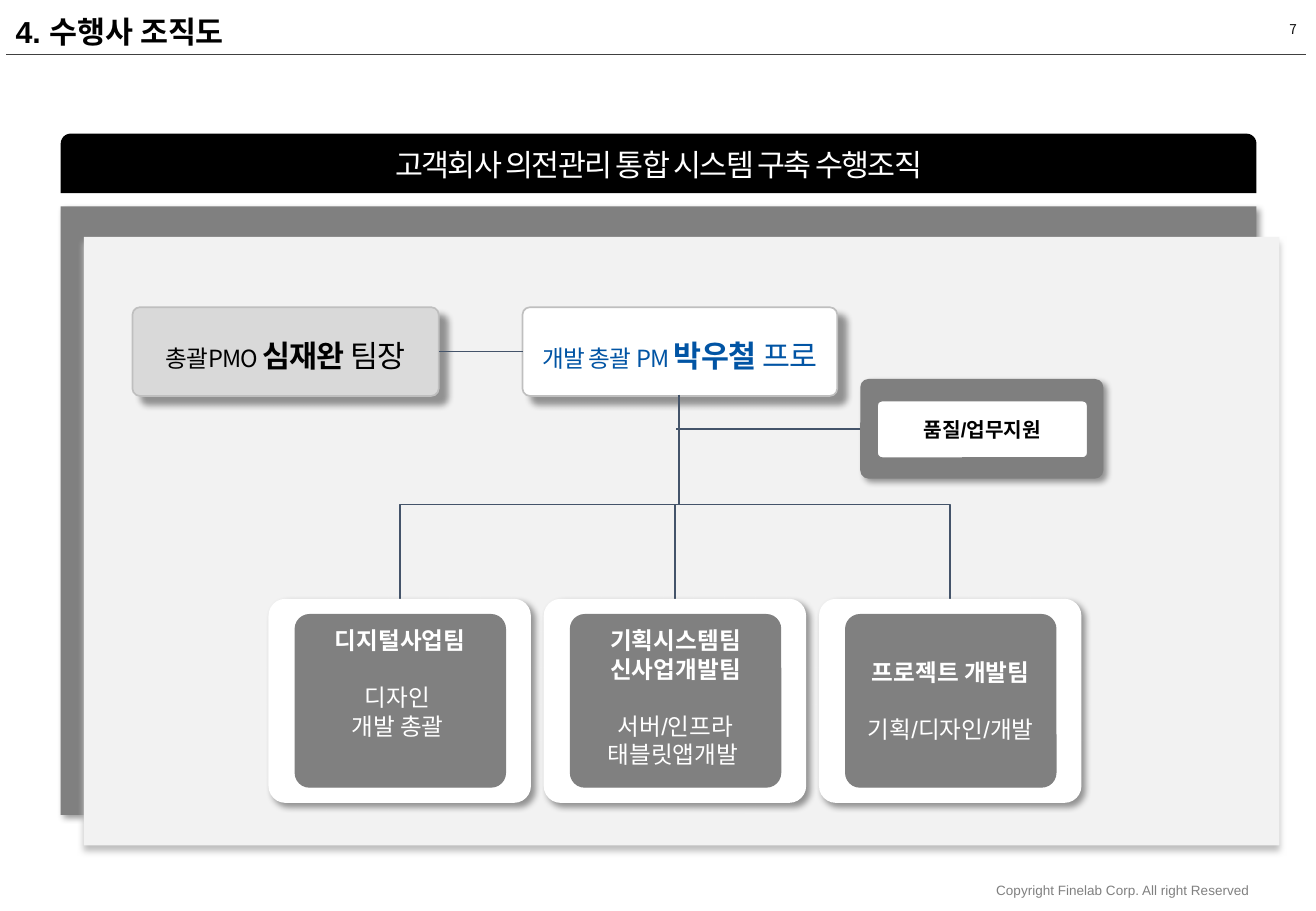
from lxml import etree
from pptx import Presentation
from pptx.dml.color import RGBColor
from pptx.enum.shapes import MSO_CONNECTOR as LINK, MSO_SHAPE as SHAPE
from pptx.enum.text import MSO_ANCHOR as ANCHOR, PP_ALIGN as ALIGN
from pptx.oxml.ns import qn
from pptx.util import Inches, Pt

KOR, LATIN = "Noto Sans CJK KR", "Arial"
GREY, NAVY, BLUE = "808080", "44546A", "0154A4"
SOFT = ("000000", 40, 3, 45)
DEEP = ("000000", 40, 7, 45)
FLAT = ("BFBFBF", 100, 4, 90)


def color(code):
    return RGBColor.from_string(code)


def inches(*nums):
    return [Inches(n) for n in nums]


def shade(shape, tone, alpha, dist, angle):
    """Give the shape an outer shadow; dist in points, angle in degrees."""
    glow = etree.SubElement(shape._element.spPr.find(qn("a:effectLst")), qn("a:outerShdw"),
                            blurRad=str(Pt(4)), dist=str(Pt(dist)),
                            dir=str(angle * 60000), algn="tl", rotWithShape="0")
    fill = etree.SubElement(glow, qn("a:srgbClr"), val=tone)
    etree.SubElement(fill, qn("a:alpha"), val=str(alpha * 1000))


def block(slide, box, fill, kind=SHAPE.RECTANGLE, line=None, width=1, shadow=None):
    shape = slide.shapes.add_shape(kind, *inches(*box))
    shape.shadow.inherit = False
    shape.fill.solid()
    shape.fill.fore_color.rgb = color(fill)
    if line:
        shape.line.color.rgb = color(line)
        shape.line.width = Pt(width)
    else:
        shape.line.fill.background()
    if kind == SHAPE.ROUNDED_RECTANGLE:
        shape.adjustments[0] = 0.083
    if shadow:
        shade(shape, *shadow)
    return shape


def card(slide, box, fill, **style):
    return block(slide, box, fill, SHAPE.ROUNDED_RECTANGLE, **style)


def write(shape, paras, tone, size=14, font=LATIN, align=ALIGN.CENTER,
          anchor=ANCHOR.MIDDLE, inset=(0.1, 0.05), track=0, wrap=True, lead=None):
    """Fill a shape; each paragraph is (space before, [(text, bold, size)])."""
    frame = shape.text_frame
    frame.word_wrap, frame.vertical_anchor = wrap, anchor
    side, edge = inches(*inset)
    frame.margin_left = frame.margin_right = side
    frame.margin_top = frame.margin_bottom = edge
    for i, (gap, runs) in enumerate(paras):
        para = frame.add_paragraph() if i else frame.paragraphs[0]
        para.alignment = align
        if gap:
            para.space_before = Pt(gap)
        if lead:
            para.line_spacing = lead
        for text, bold, *own in runs:
            run = para.add_run()
            run.text = text
            run.font.size = Pt(own[0] if own else size)
            run.font.bold = bold
            run.font.name = font
            run.font.color.rgb = color(tone)
            props = run._r.get_or_add_rPr()
            etree.SubElement(props, qn("a:ea"), typeface=KOR)
            if track:
                props.set("spc", str(int(track * 100)))


def label(slide, box, text, tone, size, bold=False, **style):
    write(slide.shapes.add_textbox(*inches(*box)), [(0, [(text, bold)])], tone, size, **style)


def link(slide, start, end, kind=LINK.STRAIGHT, tone=NAVY, width=1):
    line = slide.shapes.add_connector(kind, *inches(*start, *end))
    line.line.color.rgb = color(tone)
    line.line.width = Pt(width)
    etree.SubElement(line._element.spPr, qn("a:effectLst"))
    return line


def branch(slide, start, end):
    """Elbow that leaves downwards, turns halfway and arrives from above."""
    (x1, y1), (x2, y2) = start, end
    midx, midy = (x1 + x2) / 2, (y1 + y2) / 2
    half, rise = (y2 - y1) / 2, abs(x2 - x1) / 2
    left = x2 < x1
    side = half if left else -half
    line = link(slide, (midx - side, midy - rise), (midx + side, midy + rise), LINK.ELBOW)
    line._element.spPr.find(qn("a:xfrm")).set("rot", str((90 if left else 270) * 60000))


def header(slide, x, y, w):
    link(slide, (x, y + 0.45), (x + w, y + 0.45), tone="404040", width=0.5)
    label(slide, (x + w - 1.86, y + 0.12, 1.88, 0.24), "7", "0D0D0D", 8,
          font=KOR, align=ALIGN.RIGHT, anchor=ANCHOR.TOP, track=-0.3)
    label(slide, (x - 0.02, y + 0.06, 7.84, 0.4), "4. 수행사 조직도", "000000", 18, True,
          align=ALIGN.LEFT)


def panel(slide, x, y, w):
    banner = block(slide, (x, y, w, 0.49), "000000", SHAPE.ROUND_2_SAME_RECTANGLE)
    write(banner, [(0, [("고객회사 의전관리 통합 시스템 구축 수행조직", False)])],
          "FFFFFF", 18, track=-1)
    block(slide, (x, y + 0.6, w, 5.01), GREY, shadow=SOFT)
    block(slide, (x + 0.19, y + 0.85, w, 5.01), "F2F2F2", shadow=FLAT)


def leader(slide, box, fill, tone, role, name, rank):
    shape = card(slide, box, fill, line="BFBFBF", shadow=DEEP)
    write(shape, [(0, [(role, False), (name, True, 18), (rank, False, 18)])],
          tone, font=KOR, inset=(0, 0), track=-0.5, lead=1.2)
    return shape


def leaders(slide, x, y):
    lead = leader(slide, (x + 3.21, y, 2.59, 0.73), "FFFFFF", BLUE,
                  "개발 총괄 PM ", "박우철", " 프로")
    chief = leader(slide, (x, y, 2.52, 0.73), "D9D9D9", "000000",
                   "총괄PMO ", "심재완", " 팀장")
    line = link(slide, (x + 3.21, y + 0.36), (x + 2.52, y + 0.36))
    line.begin_connect(lead, 1)
    line.end_connect(chief, 3)


def support(slide, x, y, trunk):
    frame = card(slide, (x, y, 2, 0.82), "7F7F7F", shadow=SOFT)
    line = link(slide, (x, y + 0.41), (trunk, y + 0.41))
    line.begin_connect(frame, 1)
    inner = card(slide, (x + 0.14, y + 0.18, 1.73, 0.47), "FFFFFF", line=GREY, width=0.75)
    write(inner, [(0, [("품질/업무지원", True)])], "000000", 12, inset=(0.06, 0.06))


def team(slide, x, y, heads, tasks, anchor):
    card(slide, (x, y, 2.16, 1.68), "FFFFFF", shadow=SOFT)
    inner = card(slide, (x + 0.22, y + 0.13, 1.73, 1.42), GREY, line=GREY, width=0.75)
    paras = [(0, [(text, True)]) for text in heads]
    paras += [(0 if i else 17, [(text, False)]) for i, text in enumerate(tasks)]
    write(inner, paras, "FFFFFF", anchor=anchor, inset=(0.02, 0.06))


def teams(slide, x, y, w, root):
    crew = [
        (["디지털사업팀"], ["디자인 ", "개발 총괄 "], ANCHOR.TOP),
        (["기획시스템팀", "신사업개발팀"], ["서버/인프라", "태블릿앱개발 "], ANCHOR.TOP),
        (["프로젝트 개발팀"], ["기획/디자인/개발"], ANCHOR.MIDDLE),
    ]
    step = (w - 2.16) / (len(crew) - 1)
    for i, (heads, tasks, anchor) in enumerate(crew):
        left = x + i * step
        branch(slide, root, (left + 1.08, y + 0.13))
        team(slide, left, y, heads, tasks, anchor)


def main():
    deck = Presentation()
    deck.slide_width, deck.slide_height = inches(10.83, 7.5)
    slide = deck.slides.add_slide(deck.slide_layouts[6])
    header(slide, 0.05, 0, 10.7)
    panel(slide, 0.5, 1.1, 9.84)
    leaders(slide, 1.09, 2.53)
    support(slide, 7.08, 3.12, trunk=5.56)
    teams(slide, 2.21, 4.93, 6.69, root=(5.59, 3.25))
    label(slide, (8.1, 7.21, 2.37, 0.24), "Copyright Finelab Corp. All right Reserved",
          GREY, 8, align=ALIGN.LEFT, anchor=ANCHOR.TOP, wrap=False)
    deck.save("out.pptx")


if __name__ == "__main__":
    main()
